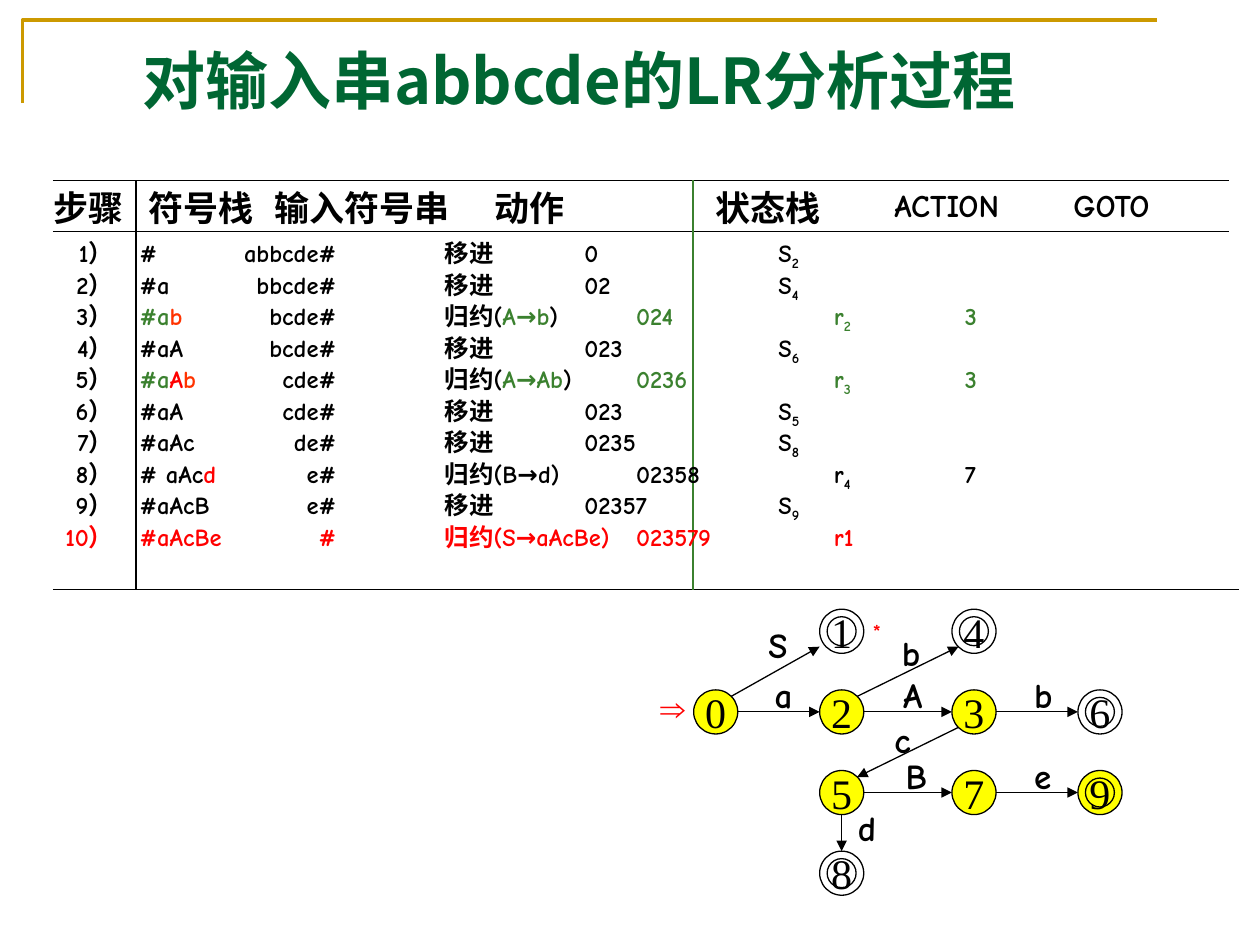
from lxml import etree
from pptx import Presentation
from pptx.dml.color import RGBColor
from pptx.enum.shapes import MSO_CONNECTOR, MSO_SHAPE
from pptx.enum.text import MSO_ANCHOR, MSO_AUTO_SIZE, PP_ALIGN
from pptx.oxml.ns import qn
from pptx.util import Inches, Pt

OVAL, STRAIGHT = MSO_SHAPE.OVAL, MSO_CONNECTOR.STRAIGHT
MIDDLE, CENTER = MSO_ANCHOR.MIDDLE, PP_ALIGN.CENTER
GROW = MSO_AUTO_SIZE.SHAPE_TO_FIT_TEXT
HAN, TIMES, COMIC = "Noto Sans CJK SC", "Times New Roman", "Comic Neue"
BLACK, GREEN, RED, ORANGE = "000000", "3B812F", "FF0000", "FF3300"
hue = RGBColor.from_string

# The slide is a grid of one-inch cells, 10 columns by 7.5 rows
deck = Presentation()
deck.slide_width, deck.slide_height = Inches(10), Inches(7.5)
slide = deck.slides.add_slide(deck.slide_layouts[6])
shapes = slide.shapes


def write(frame, runs, size, font, bold=True):
    """Add runs of (text, colour) or (text, colour, baseline)."""
    for text, color, *base in runs:
        run = frame.paragraphs[0].add_run()
        run.text = text
        run.font.size, run.font.bold, run.font.name = Pt(size), bold, font
        run.font.color.rgb = hue(color)
        props = run.font._element
        etree.SubElement(props, qn("a:ea"), typeface=HAN)
        if base:
            props.set("baseline", str(base[0]))


def rule(x1, y1, x2, y2, color=BLACK, arrow=False):
    """Draw a thin line, with an arrowhead at its end if asked."""
    line = shapes.add_connector(STRAIGHT, *map(Inches, (x1, y1, x2, y2)))
    line.line.color.rgb = hue(color)
    line.line.width = Pt(0.75)
    if arrow:
        etree.SubElement(line.line._get_or_add_ln(), qn("a:tailEnd"), type="triangle")
    etree.SubElement(line._element.spPr, qn("a:effectLst"))


# Corner frame
pen = shapes.build_freeform(Inches(0.18), Inches(0.82))
pen.add_line_segments([(Inches(0.18), Inches(0.16)), (Inches(9.18), Inches(0.16))], close=False)
frame = pen.convert_to_shape()
frame.shadow.inherit = False
frame.fill.background()
frame.line.color.rgb = hue("CC9900")
frame.line.width = Pt(2)

# Table rules
TOP, HEAD, FOOT = 1.43, 1.84, 4.68
for y, end in ((TOP, 9.75), (HEAD, 9.75), (FOOT, 9.83)):
    rule(0.42, y, end, y)
rule(1.08, TOP, 1.08, FOOT)
rule(5.5, TOP, 5.5, FOOT, GREEN)

# Text boxes: left, top, width, height, runs, size, font, wrap, tab stops
texts = [(1.03, 0.28, 7.92, 0.7, [("对输入串abbcde的LR分析过程", "006633")], 36, HAN, True, ())]

# Column heads
for x, wide, name in ((0.33, 0.83, "步骤"), (1.08, 1.17, "符号栈"), (2.08, 1.67, "输入符号串"),
                      (3.83, 0.83, "动作"), (5.58, 1.17, "状态栈")):
    texts.append((x, TOP, wide, 0.44, [(name, BLACK)], 20, TIMES, True, ()))
for x, wide, name in ((7, 1.33, "ACTION"), (8.42, 1.17, "GOTO")):
    texts.append((x, TOP, wide, 0.4, [(name, BLACK)], 18, COMIC, True, ()))

# Steps: a shift is (stack, input, states, next state), a reduction is a list of runs
SUB = -25000
steps = [
    ("#", "abbcde#", "0", "2"),
    ("#a", "bbcde#", "02", "4"),
    [("#a", GREEN), ("b", ORANGE), ("\tbcde#\t归约(", BLACK), ("A→b", GREEN), (")\t", BLACK),
     ("024\tr", GREEN), ("2", GREEN, SUB), ("\t3", GREEN)],
    ("#aA", "bcde#", "023", "6"),
    [("#a", GREEN), ("A", RED), ("b", ORANGE), ("\tcde#\t归约(", BLACK), ("A→Ab", GREEN),
     (")\t", BLACK), ("0236\tr", GREEN), ("3", GREEN, SUB), ("\t3", GREEN)],
    ("#aA", "cde#", "023", "5"),
    ("#aAc", "de#", "0235", "8"),
    [("# aAc", BLACK), ("d", RED), ("\te#\t归约(B→d)\t02358\tr", BLACK), ("4", BLACK, SUB),
     ("\t7", BLACK)],
    ("#aAcB", "e#", "02357", "9"),
    [("#aAcBe\t#\t归约(S→aAcBe)\t023579\tr1", RED)],
]
LEAD = [(0.38, "r"), (0.59, "l"), (2.15, "r"), (3.01, "l")]
SHIFT = LEAD + [(4.12, "l"), (5.66, "l")]
REDUCE = LEAD + [(4.53, "l"), (6.1, "l"), (7.14, "l")]
for i, step in enumerate(steps):
    runs, stops = step, REDUCE
    if isinstance(step, tuple):
        stack, rest, states, goal = step
        runs = [(f"{stack}\t{rest}\t移进\t{states}\tS", BLACK), (goal, BLACK, SUB)]
        stops = SHIFT
    mark = RED if i == len(steps) - 1 else BLACK
    runs = [(f"\t{i + 1}）\t", mark)] + runs
    texts.append((0.42, HEAD + 0.25 * i, 9.33, 0.37, runs, 14, COMIC, True, stops))

# State circles by column and row; final states have an inner ring
COLS = (5.68, 6.68, 7.73, 8.73)
ROWS = [5.01 + 0.64 * n for n in range(4)]
R, RING = 0.175, 0.115
states = {"0": (0, 1), "1": (1, 0), "4": (2, 0), "2": (1, 1), "3": (2, 1), "6": (3, 1),
          "5": (1, 2), "7": (2, 2), "9": (3, 2), "8": (1, 3)}
spot = {name: (COLS[c], ROWS[r]) for name, (c, r) in states.items()}
for name, (x, y) in spot.items():
    for size in (R, RING) if name in "14689" else (R,):
        disc = shapes.add_shape(OVAL, *map(Inches, (x - size, y - size, 2 * size, 2 * size)))
        disc.shadow.inherit = False
        disc.line.color.rgb = hue(BLACK)
        disc.line.width = Pt(0.75)
        if size == R and name in "023579":
            disc.fill.solid()
            disc.fill.fore_color.rgb = hue("FFFF00")
        else:
            disc.fill.background()
        if size == R:
            body = disc.text_frame
            body.word_wrap = False
            body.vertical_anchor = MIDDLE
            body.paragraphs[0].alignment = CENTER
            write(body, [(name, BLACK)], 24, TIMES, False)

# Moves: label, its place, from, to, and the sides they leave and reach (in radii)
EAST, WEST, SOUTH, NORTH = (1, 0), (-1, 0), (0, 1), (0, -1)
NE, SW = (0.7, -0.7), (-0.7, 0.7)
moves = [
    ("S", 6, 4.9, "0", "1", NE, (-1, 0.7)), ("a", 6.05, 5.3, "0", "2", EAST, WEST),
    ("b", 7.06, 4.96, "2", "4", NE, SW), ("A", 7.07, 5.3, "2", "3", EAST, WEST),
    ("b", 8.11, 5.3, "3", "6", EAST, WEST), ("c", 7, 5.65, "3", "5", SW, NE),
    ("B", 7.09, 5.94, "5", "7", EAST, WEST), ("e", 8.11, 5.94, "7", "9", EAST, WEST),
    ("d", 6.71, 6.35, "5", "8", SOUTH, NORTH),
]
for name, left, top, tail, tip, out, into in moves:
    (x1, y1), (x2, y2) = spot[tail], spot[tip]
    rule(x1 + R * out[0], y1 + R * out[1], x2 + R * into[0], y2 + R * into[1], arrow=True)
    texts.append((left, top, 0.34, 0.44, [(name, BLACK)], 20, COMIC, False, ()))

# Start arrow and accept star
texts.append((5.14, 5.4, 0.42, 0.44, [("⇒", RED)], 20, "Arial", False, ()))
texts.append((6.83, 4.86, 0.26, 0.3, [("*", RED)], 12, COMIC, False, ()))

# Draw all text boxes
for x, y, wide, high, runs, size, font, wrap, stops in texts:
    body = shapes.add_textbox(*map(Inches, (x, y, wide, high))).text_frame
    body.word_wrap = wrap
    body.auto_size = GROW
    if stops:
        tabs = etree.SubElement(body.paragraphs[0]._p.get_or_add_pPr(), qn("a:tabLst"))
        for place, side in stops:
            etree.SubElement(tabs, qn("a:tab"), pos=str(Inches(place)), algn=side)
    write(body, runs, size, font)

deck.save("out.pptx")
